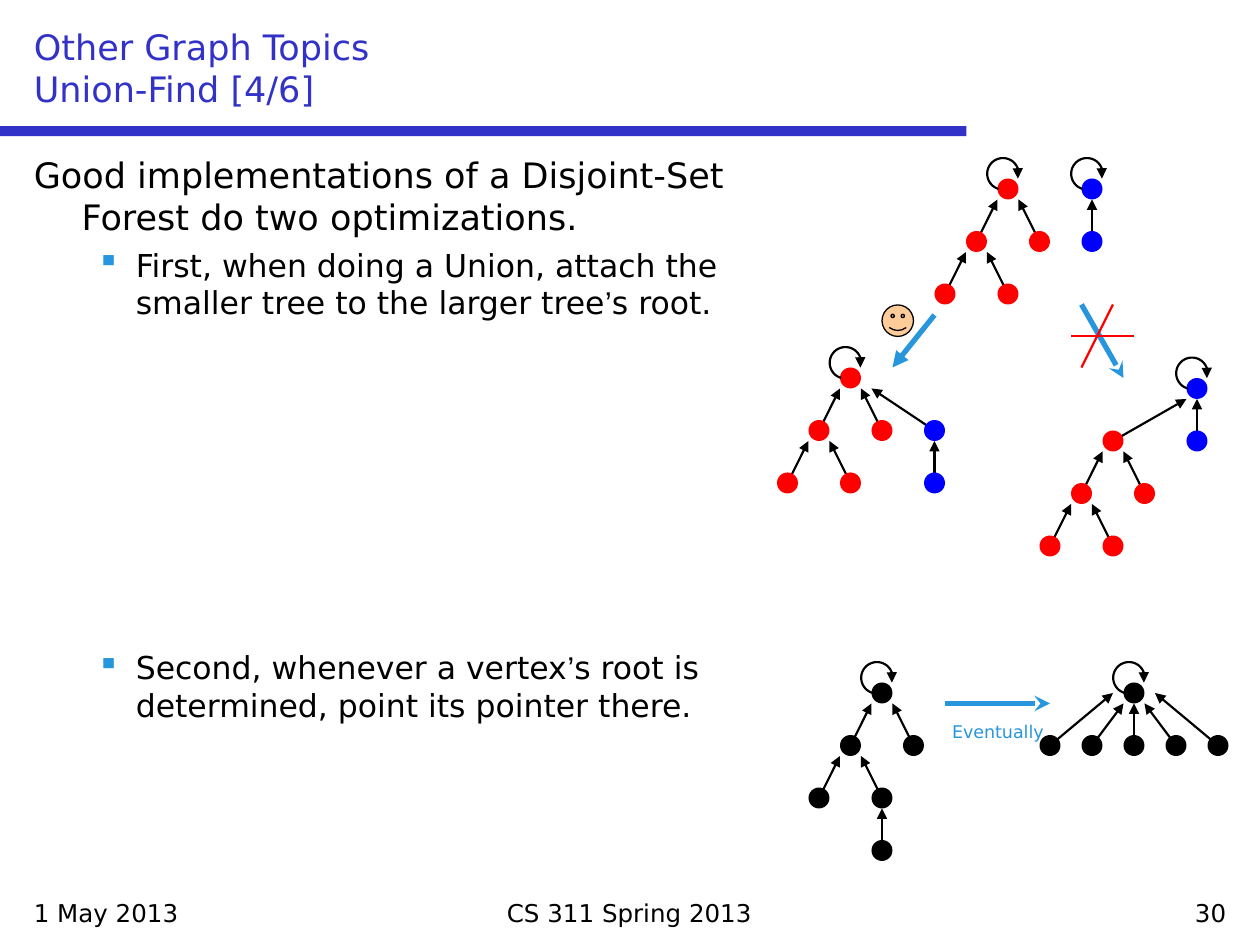
import math

from lxml import etree
from pptx import Presentation
from pptx import util as u
from pptx.dml.color import RGBColor
from pptx.enum import shapes, text
from pptx.oxml import ns

COLORS = {"title": "3232C8", "accent": "2896DC", "red": "FF0000",
          "blue": "0000FF", "black": "000000", "skin": "FFCC99"}
FONT = "DejaVu Sans"
CELL = 1 / 12  # the diagrams sit on a grid of twelfths of an inch

prs = Presentation()
prs.slide_width, prs.slide_height = u.Inches(10), u.Inches(7.5)
s = prs.slides.add_slide(prs.slide_layouts[6])


def add_text(box, lines, size, color="black", align=text.PP_ALIGN.LEFT,
             anchor=text.MSO_ANCHOR.TOP):
    """Add a wrapped text box with one paragraph per line; return its paragraphs."""
    tf = s.shapes.add_textbox(*[u.Inches(v) for v in box]).text_frame
    tf.word_wrap = True
    tf.vertical_anchor = anchor
    for i, line in enumerate(lines):
        p = tf.paragraphs[0] if i == 0 else tf.add_paragraph()
        p.text = line
        p.alignment = align
        p.font.name, p.font.size = FONT, u.Pt(size)
        p.font.color.rgb = RGBColor.from_string(COLORS[color])
    return tf.paragraphs


def add_line(start, end, color="black", width=1.25, head=None, tail=None):
    """Draw a line between two grid points with optional end marks."""
    c = s.shapes.add_connector(shapes.MSO_CONNECTOR.STRAIGHT,
                               *[u.Inches(v * CELL) for v in (*start, *end)])
    c.line.color.rgb = RGBColor.from_string(COLORS[color])
    c.line.width = u.Pt(width)
    ln = c.line._get_or_add_ln()
    for tag, kind in (("a:headEnd", head), ("a:tailEnd", tail)):
        if kind:
            etree.SubElement(ln, ns.qn(tag), type=kind)
    etree.SubElement(c._element.spPr, ns.qn("a:effectLst"))


# Title, rule and footer
rule = s.shapes.add_shape(shapes.MSO_SHAPE.RECTANGLE, 0, u.Inches(1),
                          u.Inches(7.67), u.Inches(0.08))
rule.shadow.inherit = False
rule.fill.solid()
rule.fill.fore_color.rgb = RGBColor.from_string(COLORS["title"])
rule.line.fill.background()

add_text((0.17, 0.17, 9.67, 0.75), ["Other Graph Topics\vUnion-Find [4/6]"], 20,
         "title", anchor=text.MSO_ANCHOR.BOTTOM)
add_text((0.17, 7.08, 2.33, 0.33), ["1 May 2013"], 14)
add_text((2.58, 7.08, 4.83, 0.33), ["CS 311 Spring 2013"], 14,
         align=text.PP_ALIGN.CENTER)
add_text((7.5, 7.08, 2.33, 0.33), ["30"], 14, align=text.PP_ALIGN.RIGHT)

# Body: an introduction with a hanging indent, then two bullets
intro, *bullets = add_text((0.17, 1.17, 6.33, 5.83), [
    "Good implementations of a Disjoint-Set Forest do two optimizations.", "", ""], 20)
pPr = intro._p.get_or_add_pPr()
pPr.set("marL", str(u.Inches(0.38)))
pPr.set("indent", str(u.Inches(-0.38)))

bullet_texts = [
    (4.5, "First, when doing a Union, attach the smaller tree to the larger tree’s root."),
    (187, "Second, whenever a vertex’s root is determined, point its pointer there."),
]
for p, (gap, line) in zip(bullets, bullet_texts):
    before, after = line.split("’")
    for part, font in ((before, FONT), ("’", "Arial"), (after, FONT)):
        r = p.add_run()
        r.text, r.font.name = part, font
    p.level = 1
    p.space_before = u.Pt(gap)
    p.font.size = u.Pt(18)
    pPr = p._p.get_or_add_pPr()
    pPr.set("marL", str(u.Inches(0.81)))
    pPr.set("indent", str(u.Inches(-0.31)))
    defaults = pPr.find(ns.qn("a:defRPr"))
    bullet_color = etree.Element(ns.qn("a:buClr"))
    etree.SubElement(bullet_color, ns.qn("a:srgbClr"), val=COLORS["accent"])
    defaults.addprevious(bullet_color)
    defaults.addprevious(etree.Element(ns.qn("a:buChar"), char="▪"))

# Trees: each branch is (node, arrow tip), both relative to the root
PAIR = [((0, 5), (0, 1))]
FORK = [((-3, 5), (-1, 1)), ((3, 5), (1, 1)),
        ((-6, 10), (-4, 6)), ((0, 10), (-2, 6))]
DEEP = FORK + [((0, 15), (0, 11))]
STAR = PAIR + [((-4, 5), (-1, 1)), ((4, 5), (1, 1)),
               ((-8, 5), (-2, 0)), ((8, 5), (2, 0))]

# Root, colour, branches, and the tip of the root's arrow (None: a loop to itself)
trees = [
    ((96, 18), "red", FORK, None),
    ((104, 18), "blue", PAIR, None),
    ((81, 36), "red", FORK, None),
    ((89, 41), "blue", PAIR, (83, 37)),
    ((114, 37), "blue", PAIR, None),
    ((106, 42), "red", FORK, (113, 38)),
    ((84, 66), "black", DEEP, None),
    ((108, 66), "black", STAR, None),
]
for (x, y), color, branches, root_tip in trees:
    nodes = [(x, y)] + [(x + dx, y + dy) for (dx, dy), _ in branches]
    tips = [root_tip] + [(x + dx, y + dy) for _, (dx, dy) in branches]
    for node, tip in zip(nodes, tips):
        if tip:
            add_line(node, tip, head="oval", tail="triangle")
    for nx, ny in nodes:
        sp = s.shapes.add_shape(shapes.MSO_SHAPE.OVAL,
                                u.Inches((nx - 1) * CELL), u.Inches((ny - 1) * CELL),
                                u.Inches(2 * CELL), u.Inches(2 * CELL))
        sp.shadow.inherit = False
        sp.fill.solid()
        sp.fill.fore_color.rgb = RGBColor.from_string(COLORS[color])
        sp.line.fill.background()
    if root_tip is None:
        cx, cy, radius = x * CELL - 0.04, y * CELL - 0.12, 0.125
        arc = [(u.Inches(cx + radius * math.cos(math.radians(a))),
                u.Inches(cy + radius * math.sin(math.radians(a))))
               for a in range(106, 379, 8)]
        fb = s.shapes.build_freeform(*arc[0])
        fb.add_line_segments(arc[1:], close=False)
        loop = fb.convert_to_shape()
        loop.shadow.inherit = False
        loop.fill.background()
        loop.line.color.rgb = RGBColor.from_string(COLORS["black"])
        loop.line.width = u.Pt(1.25)
        etree.SubElement(loop.line._get_or_add_ln(), ns.qn("a:tailEnd"), type="triangle")

# Good union, rejected union, path compression
add_line((89, 30), (85, 35), "accent", 3, tail="triangle")
add_line((103, 29), (107, 36), "accent", 3, tail="stealth")
add_line((106, 29), (103, 35), "red")
add_line((108, 32), (102, 32), "red")
add_line((90, 67), (100, 67), "accent", 3, tail="stealth")
add_text((7.42, 5.67, 1, 0.27), ["Eventually"], 10, "accent", text.PP_ALIGN.CENTER)

smiley = s.shapes.add_shape(shapes.MSO_SHAPE.SMILEY_FACE, u.Inches(7), u.Inches(2.42),
                            u.Inches(0.25), u.Inches(0.25))
smiley.shadow.inherit = False
smiley.fill.solid()
smiley.fill.fore_color.rgb = RGBColor.from_string(COLORS["skin"])
smiley.line.color.rgb = RGBColor.from_string(COLORS["black"])
smiley.line.width = u.Pt(0.75)

prs.save("out.pptx")
